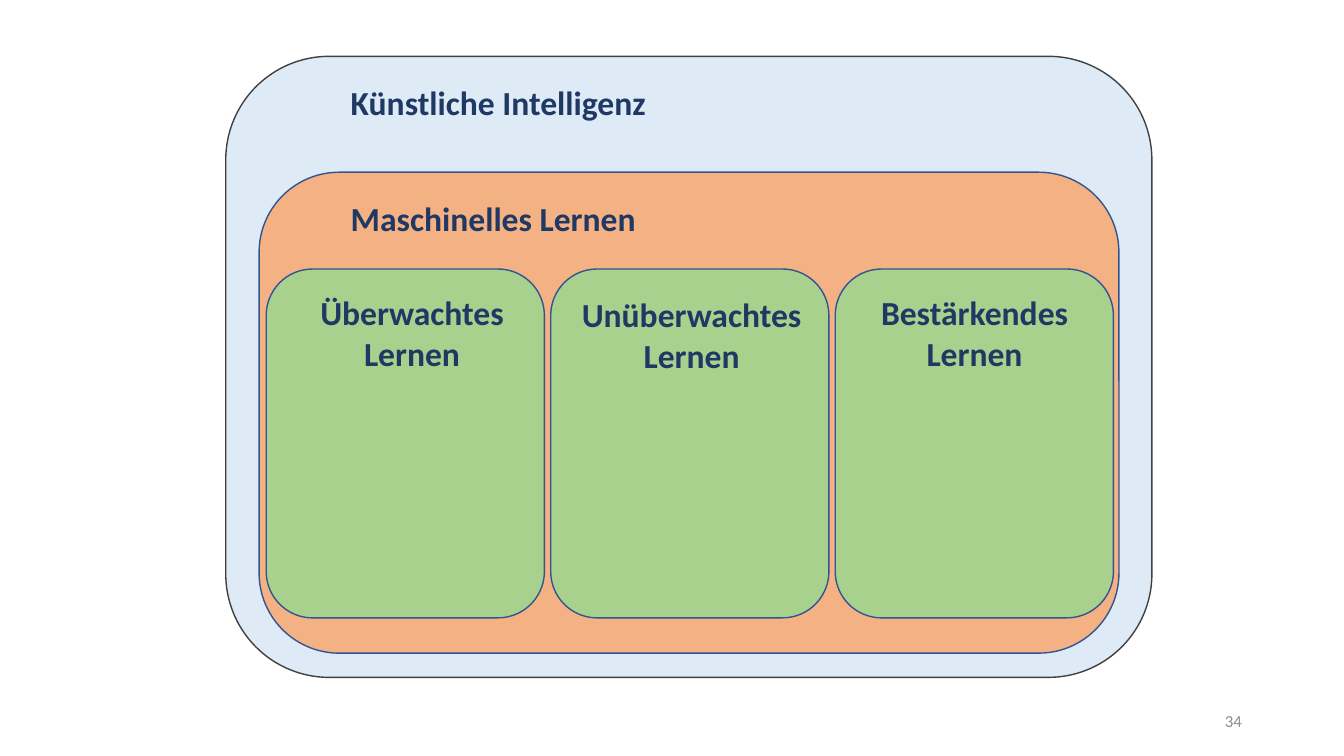
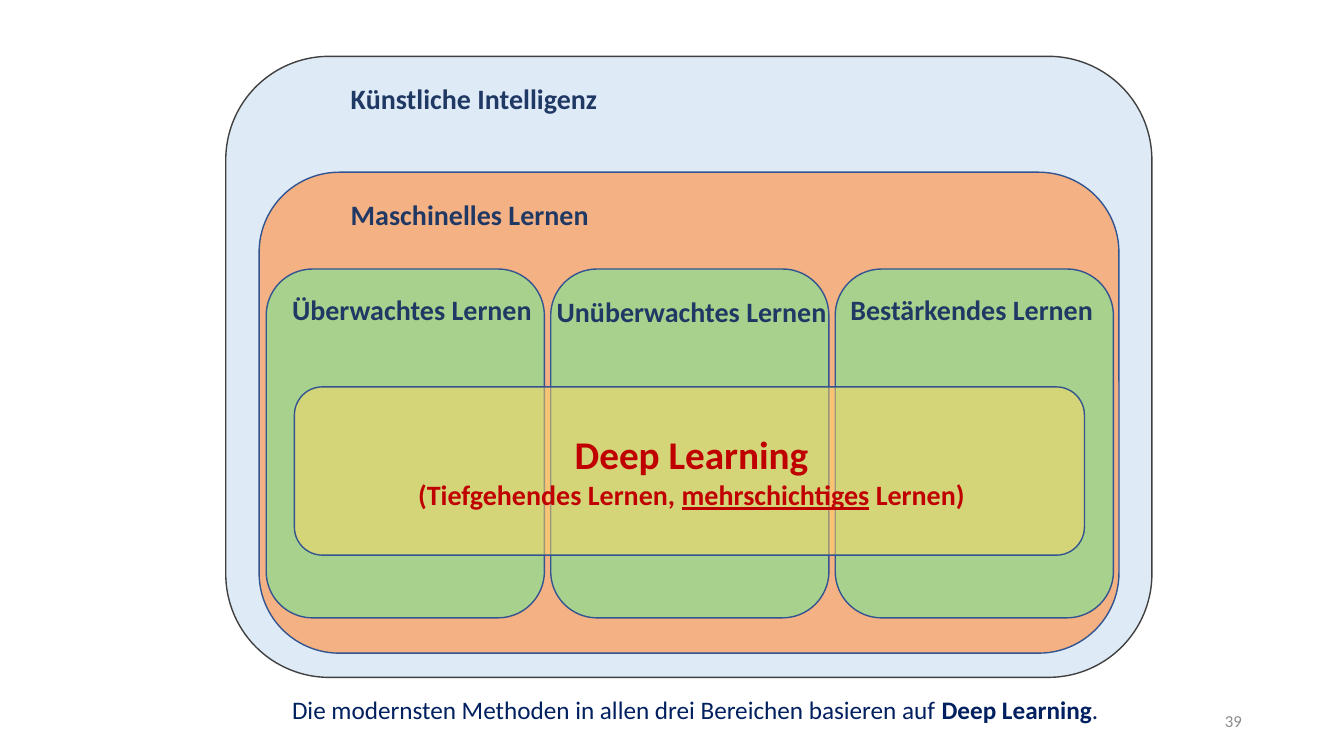
from lxml import etree
from pptx import Presentation
from pptx.dml.color import RGBColor
from pptx.enum.shapes import MSO_SHAPE
from pptx.enum.text import MSO_ANCHOR, MSO_AUTO_SIZE, PP_ALIGN as Align
from pptx.oxml.ns import qn
from pptx.util import Cm, Pt

FONT = "Calibri"
LIGHT_BLUE = RGBColor(0xDE, 0xEB, 0xF7)
ORANGE = RGBColor(0xF4, 0xB1, 0x83)
GREEN = RGBColor(0xA9, 0xD1, 0x8E)
YELLOW = RGBColor(0xFF, 0xD9, 0x66)
DARK_GREY = RGBColor(0x40, 0x40, 0x40)
BORDER_BLUE = RGBColor(0x32, 0x54, 0x91)
NAVY = RGBColor(0x20, 0x38, 0x64)
CAPTION_BLUE = RGBColor(0x00, 0x20, 0x60)
RED = RGBColor(0xC0, 0x00, 0x00)
NUMBER_GREY = RGBColor(0x8C, 0x8C, 0x8C)


def add_panel(slide, left, top, width, height, fill, line=BORDER_BLUE, opacity=100):
    shape = slide.shapes.add_shape(
        MSO_SHAPE.ROUNDED_RECTANGLE, Cm(left), Cm(top), Cm(width), Cm(height))
    shape.shadow.inherit = False
    shape.fill.solid()
    shape.fill.fore_color.rgb = fill
    shape.line.color.rgb = line
    shape.line.width = Pt(1)
    if opacity < 100:
        color = shape.fill._xPr.find(qn("a:solidFill"))[0]
        etree.SubElement(color, qn("a:alpha"), val=str(opacity * 1000))


def add_text(slide, text, left, top, width, height, size=20, color=NAVY, bold=False,
             align=Align.LEFT, anchor=MSO_ANCHOR.TOP, grow=True):
    """Text is a string, or a list of paragraphs made of (text, font settings) runs."""
    shape = slide.shapes.add_textbox(Cm(left), Cm(top), Cm(width), Cm(height))
    frame = shape.text_frame
    frame.word_wrap = True
    frame.auto_size = MSO_AUTO_SIZE.SHAPE_TO_FIT_TEXT if grow else MSO_AUTO_SIZE.NONE
    frame.vertical_anchor = anchor
    paragraphs = [[(text, {})]] if isinstance(text, str) else text
    for index, runs in enumerate(paragraphs):
        paragraph = frame.add_paragraph() if index else frame.paragraphs[0]
        paragraph.alignment = align
        for words, settings in runs:
            run = paragraph.add_run()
            run.text = words
            run.font.name = FONT
            run.font.size = Pt(size)
            run.font.bold = bold
            run.font.color.rgb = color
            for name, value in settings.items():
                setattr(run.font, name, value)


presentation = Presentation()
presentation.slide_width = Cm(33.87)
presentation.slide_height = Cm(19.05)
blank_layout = presentation.slide_layouts[6]

# Learning types: label, left, top and width of the label
LEARNING_TYPES = [
    ("Überwachtes Lernen", 7.11, 7.24, 6.55),
    ("Unüberwachtes Lernen", 13.77, 7.29, 7.32),
    ("Bestärkendes Lernen", 21.18, 7.24, 6.76),
]
COLUMN_LEFT, COLUMN_STEP = 6.71, 7.17

# Nested fields, shared by both slides
LEFT, CENTER = Align.LEFT, Align.CENTER
VERSIONS = [
    # number, label size, label height, column label height, column alignments
    ("34", 24, 1.27, 2.31, (CENTER, CENTER, CENTER)),
    ("39", 20, 1.12, 1.12, (LEFT, CENTER, LEFT)),
]
for number, size, label_height, column_label_height, alignments in VERSIONS:
    slide = presentation.slides.add_slide(blank_layout)
    add_panel(slide, 5.69, 1.42, 23.34, 15.65, LIGHT_BLUE, line=DARK_GREY)
    add_text(slide, "Künstliche Intelligenz", 8.59, 1.93, 10.49, label_height,
             size=size, bold=True)
    add_panel(slide, 6.53, 4.34, 21.67, 12.12, ORANGE)
    add_text(slide, "Maschinelles Lernen", 8.59, 4.85, 10.49, label_height,
             size=size, bold=True)
    for column in range(len(LEARNING_TYPES)):
        add_panel(slide, COLUMN_LEFT + column * COLUMN_STEP, 6.78, 7.01, 8.79, GREEN)
    for (label, left, top, width), align in zip(LEARNING_TYPES, alignments):
        add_text(slide, label, left, top, width, column_label_height,
                 size=size, bold=True, align=align)
    add_text(slide, number, 23.93, 17.65, 7.62, 1.02, size=12, color=NUMBER_GREY,
             align=Align.RIGHT, anchor=MSO_ANCHOR.MIDDLE, grow=False)

# Deep learning band across the columns of the last slide
add_panel(slide, 7.42, 9.75, 19.91, 4.24, YELLOW, opacity=51)
add_text(slide, [
    [("Deep Learning", {"size": Pt(28)})],
    [("(Tiefgehendes Lernen, ", {}),
     ("mehrschichtiges", {"underline": True}),
     (" Lernen)", {})],
], 9.73, 10.72, 15.39, 2.31, color=RED, bold=True, align=CENTER)

# Caption below the fields
add_text(slide, [
    [("Die modernsten Methoden in allen drei Bereichen basieren auf ", {}),
     ("Deep Learning", {"bold": True}),
     (".", {})],
], 7.11, 17.37, 23.88, 1.02, size=18, color=CAPTION_BLUE)

presentation.save("out.pptx")
